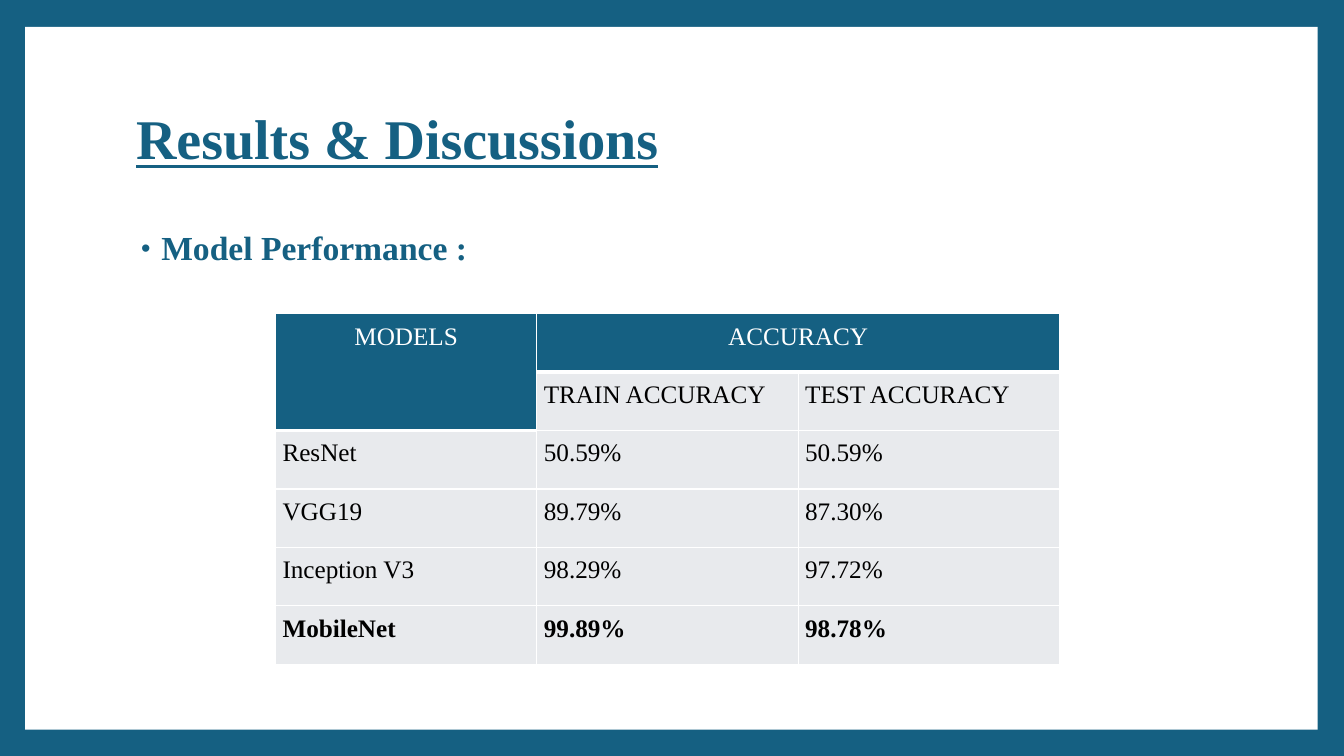
from lxml.etree import SubElement
from pptx import Presentation
from pptx.dml.color import RGBColor
from pptx.enum.shapes import MSO_SHAPE
from pptx.enum.text import MSO_ANCHOR, MSO_AUTO_SIZE, PP_ALIGN
from pptx.oxml import parse_xml
from pptx.oxml.ns import nsdecls, qn
from pptx.util import Pt

BLUE, WHITE, GREY, BLACK = "156082", "FFFFFF", "E8EAED", "000000"
ROWS = [
    ["MODELS", "ACCURACY", ""],
    ["", "TRAIN ACCURACY", "TEST ACCURACY"],
    ["ResNet", "50.59%", "50.59%"],
    ["VGG19", "89.79%", "87.30%"],
    ["Inception V3", "98.29%", "97.72%"],
    ["MobileNet", "99.89%", "98.78%"],
]


def paint(color, hue):
    color.rgb = RGBColor.from_string(hue)


class Deck:
    face = "Times New Roman"

    def __init__(self, width, height):
        self.file = Presentation()
        self.file.slide_width = Pt(width)
        self.file.slide_height = Pt(height)
        self.slide = self.file.slides.add_slide(self.file.slide_layouts[1])
        fill = self.slide.background.fill
        fill.solid()
        paint(fill.fore_color, BLUE)

    def style(self, para, size, hue, bold=False, line=0.9, before=0, after=0):
        para.line_spacing = line
        para.space_before = Pt(before)
        para.space_after = Pt(after)
        font = para.font
        font.name, font.size, font.bold = self.face, Pt(size), bold
        paint(font.color, hue)

    def panel(self, *box):
        shape = self.slide.shapes.add_shape(MSO_SHAPE.RECTANGLE, *map(Pt, box))
        shape.shadow.inherit = False
        shape.fill.solid()
        paint(shape.fill.fore_color, WHITE)
        shape.line.fill.background()
        self.slide.shapes._spTree.insert(2, shape._element)

    def holder(self, index, text, anchor, *box):
        shape = self.slide.placeholders[index]
        shape.left, shape.top, shape.width, shape.height = map(Pt, box)
        frame = shape.text_frame
        frame.text = text
        frame.word_wrap = True
        frame.auto_size = MSO_AUTO_SIZE.NONE
        frame.vertical_anchor = anchor
        para = frame.paragraphs[0]
        para.alignment = PP_ALIGN.LEFT
        return para

    def title(self, text, *box):
        para = self.holder(0, text, MSO_ANCHOR.MIDDLE, *box)
        self.style(para, 40, BLUE, True)
        para.font.underline = True

    def bullet(self, text, *box):
        para = self.holder(1, text, MSO_ANCHOR.TOP, *box)
        props = para._p.get_or_add_pPr()
        props.set("marL", str(Pt(18)))
        props.set("indent", str(Pt(-14.4)))
        tint = SubElement(props, qn("a:buClr"))
        SubElement(tint, qn("a:srgbClr"), val=BLUE)
        SubElement(props, qn("a:buSzPct"), val="80000")
        SubElement(props, qn("a:buFont"), typeface="Arial")
        SubElement(props, qn("a:buChar"), char="•")
        self.style(para, 24, BLUE, True, before=14)

    def border(self, cell, base):
        props = cell._tc.get_or_add_tcPr()
        for spot, side in enumerate("LRTB"):
            width = Pt(base if side == "B" else 1)
            props.insert(spot, parse_xml(
                f'<a:ln{side} {nsdecls("a")} w="{width}"><a:solidFill>'
                f'<a:srgbClr val="{WHITE}"/></a:solidFill></a:ln{side}>'))

    def cell(self, cell, text, head, bold):
        cell.fill.solid()
        paint(cell.fill.fore_color, BLUE if head else GREY)
        cell.margin_left = cell.margin_right = Pt(5)
        cell.margin_top = cell.margin_bottom = Pt(5)
        self.border(cell, 3 if head else 1)
        if text:
            cell.text = text
        para = cell.text_frame.paragraphs[0]
        para.alignment = PP_ALIGN.CENTER if head else PP_ALIGN.LEFT
        self.style(para, 18, WHITE if head else BLACK, bold, 1.07, after=8)

    def table(self, rows, *box):
        grid = self.slide.shapes.add_table(
            len(rows), len(rows[0]), *map(Pt, box)).table
        grid.cell(0, 0).merge(grid.cell(1, 0))
        grid.cell(0, 1).merge(grid.cell(0, 2))
        for r, row in enumerate(rows):
            for c, text in enumerate(row):
                head = r == 0 or (r, c) == (1, 0)
                self.cell(grid.cell(r, c), text, head, r == len(rows) - 1)


def main():
    deck = Deck(960, 540)
    deck.panel(18, 19.2, 923.3, 502)
    deck.title("Results & Discussions", 90, 48, 777.6, 106.6)
    deck.bullet("Model Performance :", 90, 162, 777.6, 318)
    deck.table(ROWS, 196.8, 224, 560, 250.6)
    deck.file.save("out.pptx")


if __name__ == "__main__":
    main()
